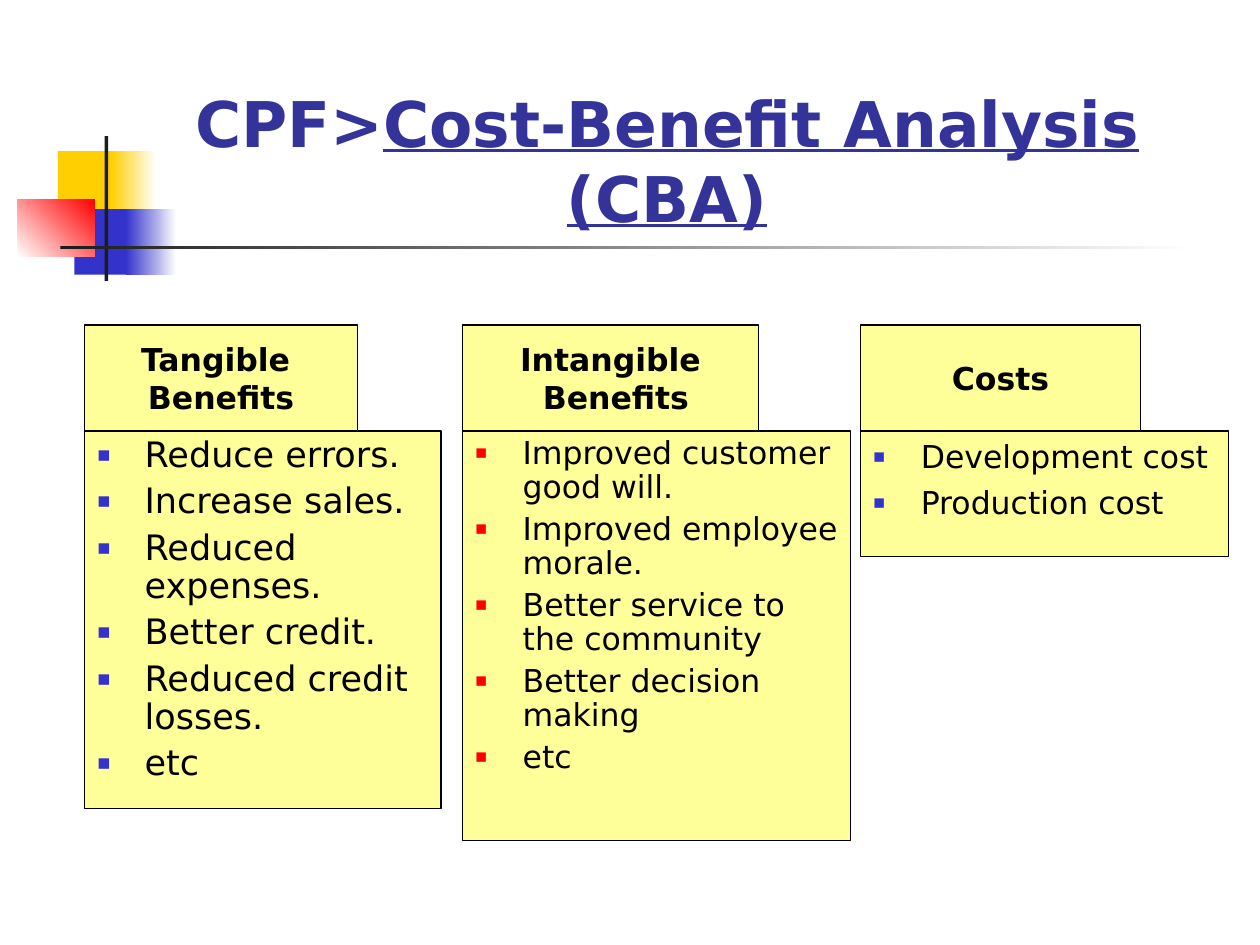
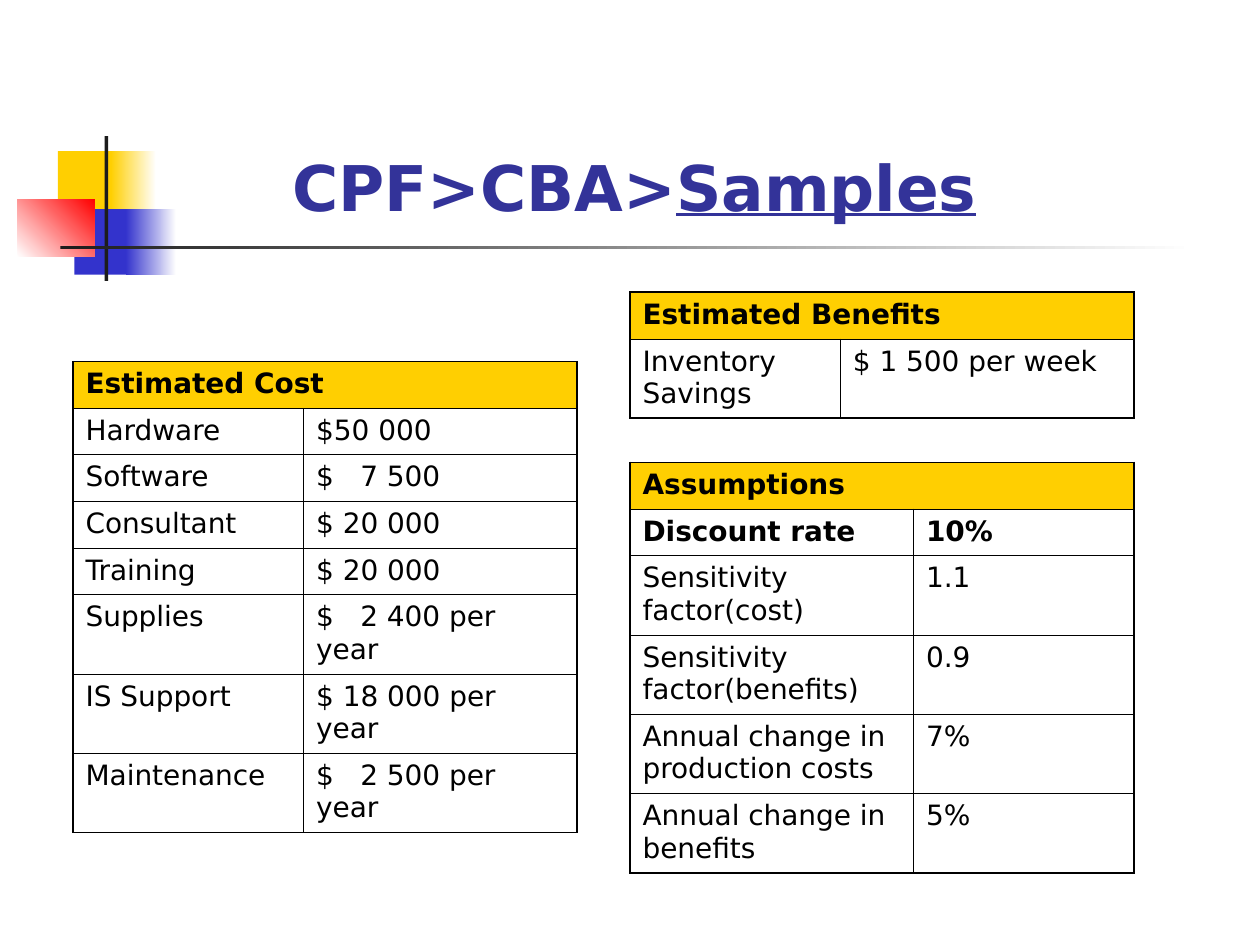
from dataclasses import dataclass

from lxml import etree
from pptx import Presentation
from pptx.dml.color import RGBColor
from pptx.enum import shapes, text
from pptx.oxml import ns
from pptx.util import Inches, Pt


@dataclass(frozen=True)
class Theme:
    font: str = "DejaVu Sans"
    title: str = "333399"
    ink: str = "000000"
    paper: str = "FFFFFF"
    note: str = "FFFF99"
    yellow: str = "FFCF01"
    blue: str = "3333CC"
    red: str = "FF0000"
    rule: str = "1C1C1C"
    title_size: int = 36
    big_size: int = 20
    body_size: int = 18
    table_size: int = 16
    box_line: float = 0.75
    outer_line: float = 1.08
    inner_line: float = 0.45


THEME = Theme()

# left, top, width, height, colour(s), gradient angle (counter-clockwise)
ORNAMENT = [
    (0.46, 1.2, 0.48, 0.52, [THEME.yellow], 0),
    (0.88, 1.2, 0.36, 0.52, [THEME.yellow, THEME.paper], 0),
    (0.59, 1.66, 0.46, 0.52, [THEME.blue], 0),
    (1, 1.66, 0.4, 0.52, [THEME.blue, THEME.paper], 0),
    (0.14, 1.58, 0.61, 0.46, [THEME.paper, THEME.red], 45),
    (0.83, 1.08, 0.03, 1.15, [THEME.rule], 0),
    (0.48, 1.95, 9, 0.03, [THEME.rule, THEME.paper], 0),
]

ANALYSIS_TITLE = ("CPF>", "Cost-Benefit Analysis (CBA)", 1.26, 0.67)
SAMPLES_TITLE = ("CPF>CBA>", "Samples", 1, 0.58)
TITLE_SIZE = (8.07, 1.25)

HEAD_TOP, HEAD_HEIGHT = 2.58, 0.84
CATEGORIES = [
    dict(head=["Tangible ", "Benefits"], left=0.67, head_width=2.17,
         width=2.83, height=3, size=THEME.big_size, bullet=THEME.blue, spacing=0.9,
         items=["Reduce errors.", "Increase sales.", "Reduced expenses.",
                "Better credit.", "Reduced credit losses.", "etc"]),
    dict(head=["Intangible", " Benefits"], left=3.67, head_width=2.35,
         width=3.08, height=3.25, size=THEME.body_size, bullet=THEME.red, spacing=0.9,
         items=["Improved customer good will.", "Improved employee morale.",
                "Better service to the community", "Better decision making", "etc"]),
    dict(head=["Costs"], left=6.83, head_width=2.22,
         width=2.92, height=1, size=THEME.body_size, bullet=THEME.blue, spacing=1.0,
         items=["Development cost", "Production cost"]),
]

ROW_HEIGHTS = {1: 0.37, 2: 0.63}  # by number of text lines
AMOUNT_TAB = 0.35
# rows: label, value, number of text lines
TABLES = [
    dict(head="Estimated Cost", left=0.58, top=2.87, columns=(1.83, 2.17), bold=(),
         rows=[("Hardware", "$50 000", 1),
               ("Software", "$\t7 500", 1),
               ("Consultant", "$ 20 000", 1),
               ("Training", "$ 20 000", 1),
               ("Supplies", "$\t2 400 per year", 2),
               ("IS Support", "$ 18 000 per year", 2),
               ("Maintenance", "$\t2 500 per year", 2)]),
    dict(head="Estimated Benefits", left=5, top=2.32, columns=(1.67, 2.33), bold=(),
         rows=[("Inventory Savings", "$ 1 500 per week", 2)]),
    dict(head="Assumptions", left=5, top=3.67, columns=(2.25, 1.75),
         bold=("Discount rate",),
         rows=[("Discount rate", "10%", 1),
               ("Sensitivity factor(cost)", "1.1", 2),
               ("Sensitivity factor(benefits)", "0.9", 2),
               ("Annual change in production costs", "7%", 2),
               ("Annual change in benefits", "5%", 2)]),
]


def color(value):
    return RGBColor.from_string(value)


def add_xml(parent, tag, **attributes):
    return etree.SubElement(parent, ns.qn(tag), attributes)


def set_font(para, size, ink=THEME.ink, bold=False):
    font = para.font
    font.name, font.size, font.bold = THEME.font, Pt(size), bold
    font.color.rgb = color(ink)


def add_box(page, left, top, width, height, fill, line=None):
    box = page.shapes.add_shape(shapes.MSO_SHAPE.RECTANGLE,
                                *map(Inches, (left, top, width, height)))
    box.shadow.inherit = False
    box.fill.solid()
    box.fill.fore_color.rgb = color(fill)
    if line:
        box.line.color.rgb = color(line)
        box.line.width = Pt(THEME.box_line)
    else:
        box.line.fill.background()
    return box


def decorate_layout(layout, page):
    """Draw the ornament on a page and move it to the layout all pages use."""
    for placeholder in list(layout.placeholders)[1:]:
        layout.shapes.element.remove(placeholder.element)
    for left, top, width, height, colors, angle in ORNAMENT:
        box = add_box(page, left, top, width, height, colors[0])
        if len(colors) == 2:
            box.fill.gradient()
            box.fill.gradient_angle = angle
            for stop, value in zip(box.fill.gradient_stops, colors):
                stop.color.rgb = color(value)
        layout.shapes.element.append(box.element)


def set_title(page, prefix, topic, left, top):
    title = page.shapes.title
    title.left, title.top = Inches(left), Inches(top)
    title.width, title.height = map(Inches, TITLE_SIZE)
    frame = title.text_frame
    frame.word_wrap = True
    frame.auto_size = text.MSO_AUTO_SIZE.NONE
    frame.vertical_anchor = text.MSO_ANCHOR.BOTTOM
    para = frame.paragraphs[0]
    para.alignment = text.PP_ALIGN.CENTER
    para.add_run().text = prefix
    span = para.add_run()
    span.text = topic
    span.font.underline = True
    set_font(para, THEME.title_size, THEME.title, bold=True)


def fill_paragraphs(frame, lines):
    """Write one paragraph per line and yield each with its index."""
    for index, line in enumerate(lines):
        para = frame.add_paragraph() if index else frame.paragraphs[0]
        para.text = line
        yield index, para


def add_bullet(para, ink):
    indent = Inches(0.38)
    properties = para._p.get_or_add_pPr()
    properties.set("marL", str(indent))
    properties.set("indent", str(-indent))
    add_xml(add_xml(properties, "a:buClr"), "a:srgbClr", val=ink)
    add_xml(properties, "a:buSzPct", val="60000")
    add_xml(properties, "a:buFont", typeface=THEME.font)
    add_xml(properties, "a:buChar", char="▪")


def add_category(page, category):
    left, size = category["left"], category["size"]
    body = add_box(page, left, HEAD_TOP + HEAD_HEIGHT, category["width"],
                   category["height"], THEME.note, THEME.ink)
    frame = body.text_frame
    frame.word_wrap = True
    frame.vertical_anchor = text.MSO_ANCHOR.TOP
    for index, para in fill_paragraphs(frame, category["items"]):
        para.alignment = text.PP_ALIGN.LEFT
        add_bullet(para, category["bullet"])
        para.line_spacing = category["spacing"]
        para.space_before = Pt(size / 4 if index else 0)
        set_font(para, size)

    head = add_box(page, left, HEAD_TOP, category["head_width"], HEAD_HEIGHT,
                   THEME.note, THEME.ink)
    head.text_frame.word_wrap = False
    head.text_frame.vertical_anchor = text.MSO_ANCHOR.MIDDLE
    for _, para in fill_paragraphs(head.text_frame, category["head"]):
        para.alignment = text.PP_ALIGN.CENTER
        set_font(para, THEME.body_size, bold=True)


def set_borders(cell, outer_edges):
    """Outline a cell, with the heavier line on the table's outer edges."""
    properties = cell._tc.get_or_add_tcPr()
    for edge in "LRTB":
        weight = THEME.outer_line if edge in outer_edges else THEME.inner_line
        line = add_xml(properties, f"a:ln{edge}", w=str(Pt(weight)))
        add_xml(add_xml(line, "a:solidFill"), "a:srgbClr", val=THEME.ink)


def add_sample_table(page, sample):
    rows = [(sample["head"], "", 1)] + sample["rows"]
    heights = [ROW_HEIGHTS[lines] for *_, lines in rows]
    columns = sample["columns"]
    table = page.shapes.add_table(
        len(rows), len(columns), Inches(sample["left"]), Inches(sample["top"]),
        Inches(sum(columns)), Inches(sum(heights))).table
    table.first_row = table.horz_banding = False
    for column, width in zip(table.columns, columns):
        column.width = Inches(width)
    for row, height in zip(table.rows, heights):
        row.height = Inches(height)
    table.cell(0, 0).merge(table.cell(0, 1))

    for r, (label, value, _) in enumerate(rows):
        is_head = r == 0
        edges = ("T" if is_head else "") + ("B" if r == len(rows) - 1 else "")
        for c, content in enumerate((label, value)):
            cell = table.cell(r, c)
            set_borders(cell, edges + ("LR" if is_head else "LR"[c]))
            if is_head:
                cell.fill.solid()
                cell.fill.fore_color.rgb = color(THEME.yellow)
            else:
                cell.fill.background()
            if cell.is_spanned:
                continue
            para = cell.text_frame.paragraphs[0]
            para.text = content
            if "\t" in content:
                tabs = add_xml(para._p.get_or_add_pPr(), "a:tabLst")
                add_xml(tabs, "a:tab", pos=str(Inches(AMOUNT_TAB)), algn="l")
            set_font(para, THEME.table_size, bold=is_head or label in sample["bold"])


def main():
    deck = Presentation()
    deck.slide_width, deck.slide_height = Inches(10), Inches(7.5)
    layout = deck.slide_layouts.get_by_name("Title Only")

    analysis = deck.slides.add_slide(layout)
    decorate_layout(layout, analysis)
    set_title(analysis, *ANALYSIS_TITLE)
    for category in CATEGORIES:
        add_category(analysis, category)

    samples = deck.slides.add_slide(layout)
    set_title(samples, *SAMPLES_TITLE)
    for sample in TABLES:
        add_sample_table(samples, sample)

    deck.save("out.pptx")


if __name__ == "__main__":
    main()
